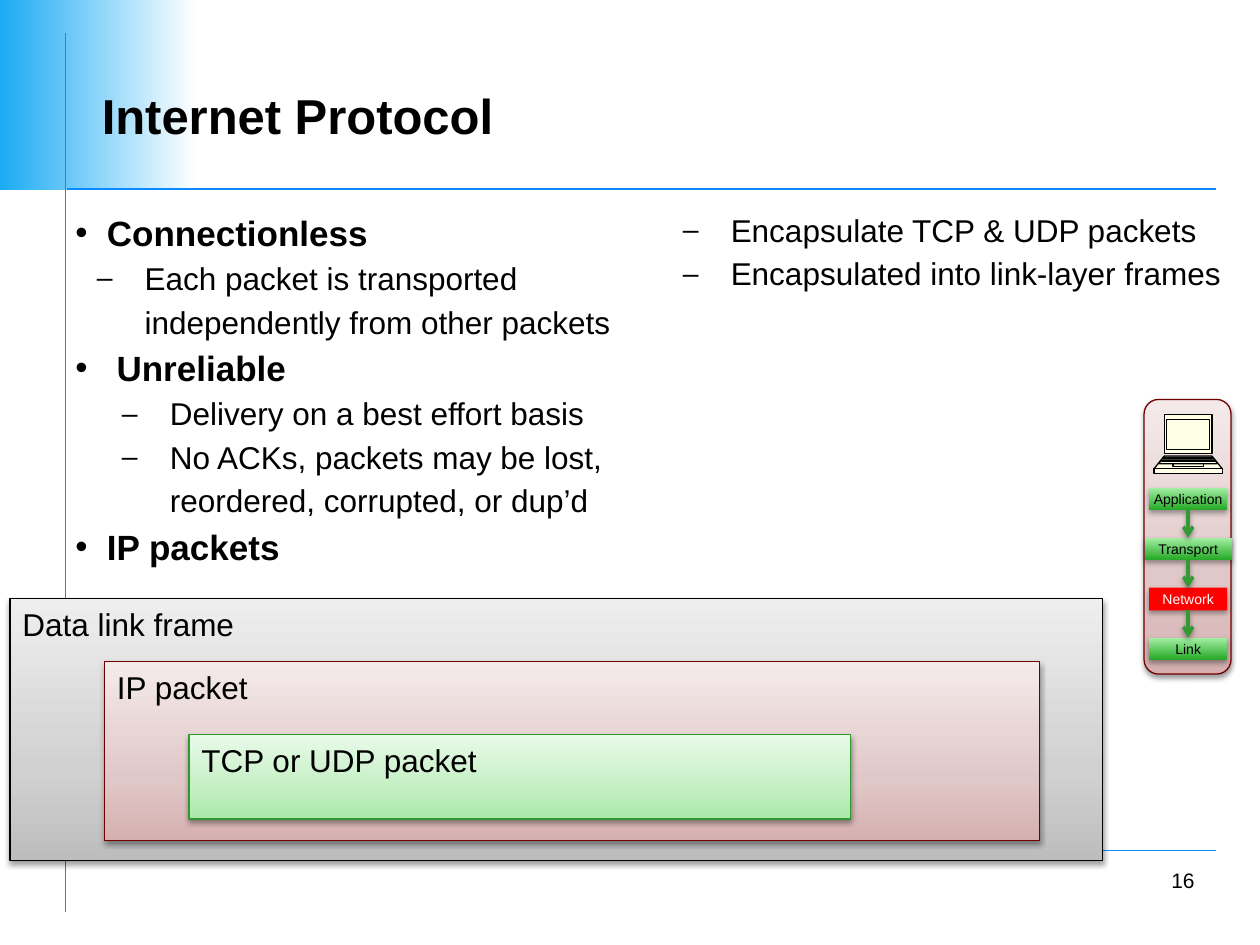
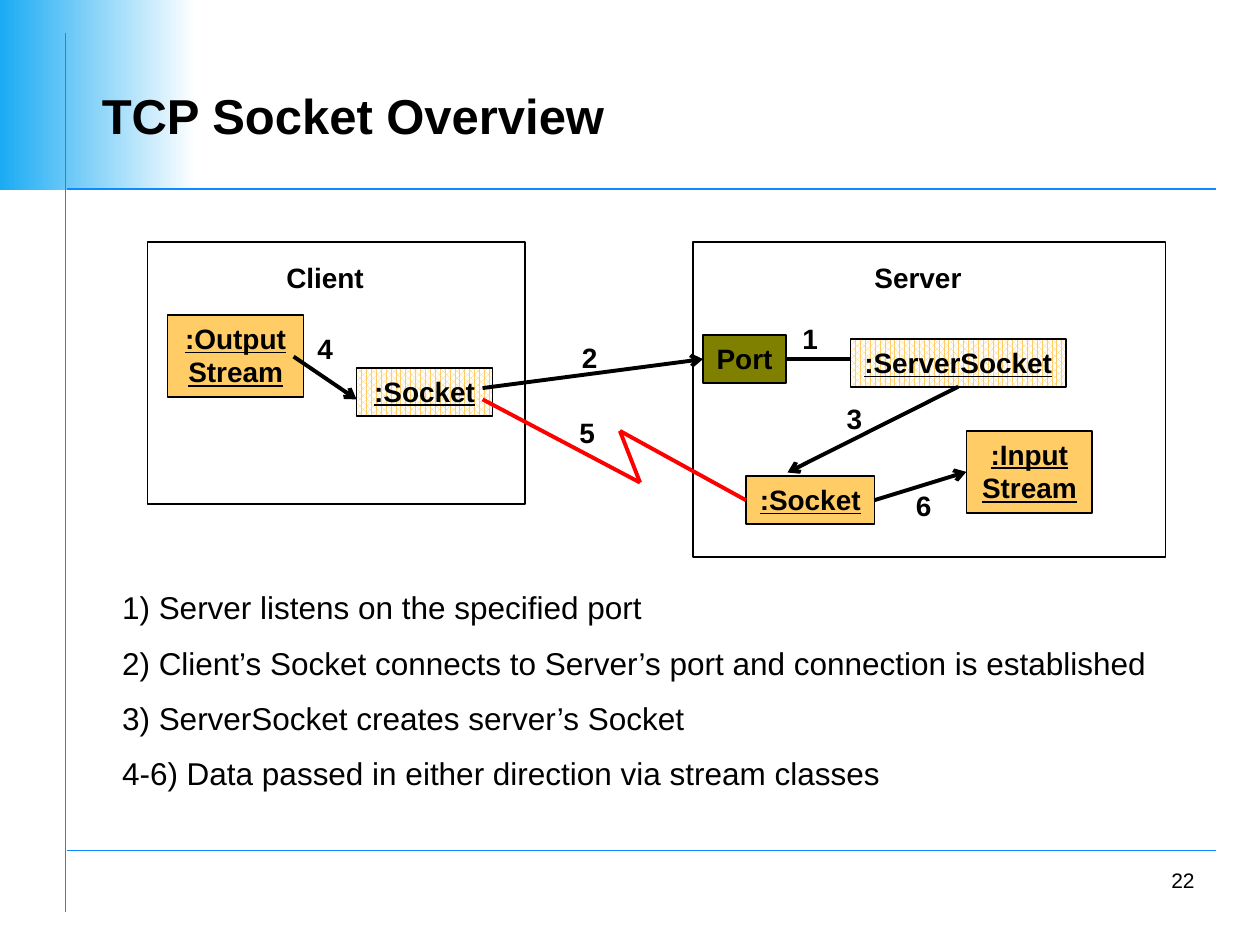
from dataclasses import dataclass
from typing import NamedTuple, Optional

from lxml import etree
from pptx import Presentation
from pptx.dml.color import RGBColor
from pptx.enum.dml import MSO_PATTERN
from pptx.enum.shapes import MSO_CONNECTOR, MSO_SHAPE
from pptx.enum.text import MSO_ANCHOR, PP_ALIGN
from pptx.oxml.ns import qn
from pptx.util import Inches, Pt

RECT, ROUND_RECT = MSO_SHAPE.RECTANGLE, MSO_SHAPE.ROUNDED_RECTANGLE
STRAIGHT = MSO_CONNECTOR.STRAIGHT
TOP, MIDDLE = MSO_ANCHOR.TOP, MSO_ANCHOR.MIDDLE
LEFT, CENTER, RIGHT = PP_ALIGN.LEFT, PP_ALIGN.CENTER, PP_ALIGN.RIGHT
DOTTED = MSO_PATTERN.PERCENT_75
SIDE_TOP, SIDE_LEFT, SIDE_BOTTOM, SIDE_RIGHT = range(4)

FONT = "Arial"
BLACK, WHITE, RED = "000000", "FFFFFF", "FF0000"
RULE_BLUE, ARROW_GREEN = "0B8BFF", "339933"
ORANGE, OLIVE, CREAM = "FFCC66", "808000", "FFFFE5"
MAROON, LEAF = "700000", "2F982F"


class Gradient(NamedTuple):
    """Colour stops as (percent, colour), with a clockwise angle."""
    stops: tuple
    angle: int = 270


class Pattern(NamedTuple):
    """A dotted fill of two colours."""
    front: str
    back: str


class Style(NamedTuple):
    """How a piece of text looks."""
    size: float
    color: str = BLACK
    bold: bool = False
    underline: bool = False
    align: PP_ALIGN = LEFT
    anchor: MSO_ANCHOR = TOP
    wrap: bool = True
    side_inset: float = 0.1


class Item(NamedTuple):
    """A body paragraph."""
    text: str
    size: float
    margin: float
    hanging: float
    bullet: str = ""
    bold: bool = False


@dataclass
class Box:
    """A preset shape with optional text; lengths in inches."""
    left: float
    top: float
    width: float
    height: float
    text: str = ""
    style: Style = Style(18)
    fill: object = None
    line: Optional[str] = None
    line_width: float = 1
    kind: MSO_SHAPE = RECT
    shadow: int = 0


@dataclass
class Link:
    """A straight line; each joint is a (shape, side) pair."""
    start: tuple
    end: tuple
    color: str = BLACK
    width: float = 2.25
    arrow: bool = False
    begin_joint: Optional[tuple] = None
    end_joint: Optional[tuple] = None
    shadow: int = 0


BAND = Gradient(((0, "1BABF3"), (100, WHITE)), 0)
GRAY = Gradient(((0, "BDBDBD"), (35, "D1D1D1"), (100, "EEEEEE")))
ROSE = Gradient(((0, "D6B0B0"), (35, "E1C8C8"), (100, "F4EAEA")))
MINT = Gradient(((0, "A9E9A9"), (35, "C4EFC4"), (100, "E8FAE8")))
GREEN = Gradient(((0, "24A824"), (100, "A4EFA4")))
DOTS = Pattern(ORANGE, WHITE)

TITLE = Style(28, bold=True, anchor=MIDDLE)
NUMBER = Style(12, align=RIGHT, anchor=MIDDLE, wrap=False)
LAYER = Style(8, align=CENTER, anchor=MIDDLE, wrap=False, side_inset=0)
LABEL = Style(16, bold=True, align=CENTER, wrap=False)
OBJECT = LABEL._replace(underline=True)

PROTOCOL_ITEMS = (
    Item("Connectionless", 20, 0.25, -0.25, "•", True),
    Item("Each packet is transported independently from other packets", 18, 0.55, -0.38, "–"),
    Item(" Unreliable", 20, 0.25, -0.25, "•", True),
    Item("Delivery on a best effort basis", 18, 0.75, -0.38, "–"),
    Item("No ACKs, packets may be lost, reordered, corrupted, or dup’d", 18, 0.75, -0.38, "–"),
    Item("IP packets", 20, 0.25, -0.25, "•", True),
    Item("Encapsulate TCP & UDP packets", 18, 0.55, -0.38, "–"),
    Item("Encapsulated into link-layer frames", 18, 0.55, -0.38, "–"),
)
SOCKET_STEPS = tuple(Item(text, 18, 0.75, -0.38) for text in (
    "1) Server listens on the specified port",
    "2) Client’s Socket connects to Server’s port and connection is established",
    "3) ServerSocket creates server’s Socket",
    "4-6) Data passed in either direction via stream classes",
))
STACK_CENTER = 9.43
LAPTOP = (
    (3.29, 0.19, 3.60, 0.19), (3.62, 0.19, 3.72, 0.27),
    (3.72, 0.27, 3.76, 0.27), (3.33, 0.17, 3.57, 0.17),
    (3.63, 0.19, 3.64, 0.20), (3.68, 0.12, 3.70, 0.12),
    (3.65, 0.20, 3.66, 0.21), (3.66, 0.22, 3.68, 0.23),
)


def rgb(color: str) -> RGBColor:
    """Turn a hex string into a colour."""
    return RGBColor.from_string(color)


def add_color(parent, color: str):
    """Append an sRGB colour element."""
    return etree.SubElement(parent, qn("a:srgbClr"), val=color)


def paint(shape, fill) -> None:
    """Fill a shape with nothing, a colour, a pattern or a gradient."""
    if fill is None:
        shape.fill.background()
    elif isinstance(fill, Pattern):
        shape.fill.patterned()
        shape.fill.pattern = DOTTED
        shape.fill.fore_color.rgb = rgb(fill.front)
        shape.fill.back_color.rgb = rgb(fill.back)
    elif isinstance(fill, Gradient):
        shape.fill.gradient()
        shape.fill.gradient_angle = -fill.angle % 360
        stops = shape._element.spPr.find(qn("a:gradFill")).find(qn("a:gsLst"))
        for stop in list(stops):
            stops.remove(stop)
        for percent, color in fill.stops:
            add_color(etree.SubElement(stops, qn("a:gs"), pos=str(percent * 1000)), color)
    else:
        shape.fill.solid()
        shape.fill.fore_color.rgb = rgb(fill)


def outline(shape, color: Optional[str], width: float) -> None:
    """Set or remove the outline."""
    if color:
        shape.line.color.rgb = rgb(color)
        shape.line.width = Pt(width)
    else:
        shape.line.fill.background()


def add_shadow(effects, opacity: int) -> None:
    """Put a soft downward shadow into an effect list."""
    if opacity:
        shadow = etree.SubElement(effects, qn("a:outerShdw"), blurRad=str(Pt(3.1)),
                                  dist=str(Pt(1.7)), dir="5400000", rotWithShape="0")
        etree.SubElement(add_color(shadow, BLACK), qn("a:alpha"), val=str(opacity * 1000))


def add_span(para, text: str, style: Style) -> None:
    """Add one run of text."""
    span = para.add_run()
    span.text = text
    span.font.name, span.font.size = FONT, Pt(style.size)
    span.font.bold, span.font.underline = style.bold, style.underline
    span.font.color.rgb = rgb(style.color)


def write(frame, text: str, style: Style) -> None:
    """Write one paragraph per line of text."""
    frame.word_wrap, frame.vertical_anchor = style.wrap, style.anchor
    frame.margin_left = frame.margin_right = Inches(style.side_inset)
    for index, line in enumerate(text.split("\n")):
        para = frame.add_paragraph() if index else frame.paragraphs[0]
        para.alignment = style.align
        add_span(para, line, style)


def place(box: Box) -> tuple:
    """Give the position and size of a box."""
    return tuple(Inches(length) for length in (box.left, box.top, box.width, box.height))


def draw_box(page, box: Box):
    """Draw a shape and its text."""
    shape = page.shapes.add_shape(box.kind, *place(box))
    paint(shape, box.fill)
    outline(shape, box.line, box.line_width)
    shape.shadow.inherit = False
    add_shadow(shape._element.spPr.find(qn("a:effectLst")), box.shadow)
    if box.text:
        write(shape.text_frame, box.text, box.style)
    return shape


def draw_text(page, box: Box) -> None:
    """Draw a plain text box."""
    write(page.shapes.add_textbox(*place(box)).text_frame, box.text, box.style)


def draw_link(page, link: Link) -> None:
    """Draw a line or arrow and join its ends."""
    points = (Inches(length) for length in link.start + link.end)
    connector = page.shapes.add_connector(STRAIGHT, *points)
    if link.begin_joint:
        connector.begin_connect(*link.begin_joint)
    if link.end_joint:
        connector.end_connect(*link.end_joint)
    outline(connector, link.color, link.width)
    if link.arrow:
        etree.SubElement(connector.line._get_or_add_ln(), qn("a:tailEnd"), type="arrow")
    add_shadow(etree.SubElement(connector._element.spPr, qn("a:effectLst")), link.shadow)


def draw_body(page, box: Box, items: tuple, spacing: float, before: float = 0,
              after: float = 0, columns: int = 1) -> None:
    """Draw body paragraphs with hanging indents."""
    frame = page.shapes.add_textbox(*place(box)).text_frame
    frame.word_wrap = True
    if columns > 1:
        frame._txBody.bodyPr.set("numCol", str(columns))
        frame._txBody.bodyPr.set("spcCol", "0")
    for index, item in enumerate(items):
        para = frame.add_paragraph() if index else frame.paragraphs[0]
        para.line_spacing = spacing
        para.space_before, para.space_after = Pt(before), Pt(after)
        props = para._p.get_or_add_pPr()
        props.set("marL", str(Inches(item.margin)))
        props.set("indent", str(Inches(item.hanging)))
        if item.bullet:
            add_color(etree.SubElement(props, qn("a:buClr")), BLACK)
            size = 100000 if item.bold else 90000
            etree.SubElement(props, qn("a:buSzPct"), val=str(size))
            etree.SubElement(props, qn("a:buFont"), typeface=FONT)
            etree.SubElement(props, qn("a:buChar"), char=item.bullet)
        else:
            etree.SubElement(props, qn("a:buNone"))
        add_span(para, item.text, Style(item.size, bold=item.bold))


def add_page(deck, title: str, number: int):
    """Add a slide with the shared band, rules, title and number."""
    page = deck.slides.add_slide(deck.slide_layouts[6])
    draw_box(page, Box(0, 0, 1.56, 1.51, fill=BAND))
    for start, end in (((0.53, 6.75), (9.65, 6.75)), ((0.52, 0.26), (0.52, 7.24)),
                       ((0.53, 1.5), (9.65, 1.5))):
        draw_link(page, Link(start, end, RULE_BLUE, 1))
    draw_text(page, Box(7.5, 6.83, 2.08, 0.31, str(number), NUMBER))
    draw_text(page, Box(0.71, 0.58, 8.87, 0.67, title, TITLE))
    return page


def draw_laptop(page) -> None:
    """Draw the laptop from outlines symmetric about the stack."""
    for top, half_top, bottom, half_bottom in LAPTOP:
        corners = [(Inches(STACK_CENTER + offset), Inches(height)) for offset, height in (
            (-half_top, top), (half_top, top), (half_bottom, bottom), (-half_bottom, bottom))]
        builder = page.shapes.build_freeform(*corners[0], scale=1.0)
        builder.add_line_segments(corners[1:], close=True)
        shape = builder.convert_to_shape()
        paint(shape, CREAM)
        outline(shape, BLACK, 0.75)
        shape.shadow.inherit = False


def draw_stack(page) -> None:
    """Draw the protocol stack with the network layer marked."""
    draw_box(page, Box(9.08, 3.17, 0.69, 2.18, fill=ROSE, line=MAROON, line_width=0.75,
                       kind=ROUND_RECT, shadow=38))
    draw_laptop(page)
    layers = []
    for index, name in enumerate(("Application", "Transport", "Network", "Link")):
        width = 0.69 if name == "Transport" else 0.62
        marked = name == "Network"
        layers.append(draw_box(page, Box(
            STACK_CENTER - width / 2, 3.87 + index * 0.397, width, 0.18, name,
            LAYER._replace(color=WHITE if marked else BLACK),
            RED if marked else GREEN, shadow=35)))
    for upper, lower in zip(layers, layers[1:]):
        draw_link(page, Link((0, 0), (0, 0), ARROW_GREEN, 2, True,
                             (upper, SIDE_BOTTOM), (lower, SIDE_TOP), 38))


def build_protocol(deck) -> None:
    """Build the Internet Protocol slide."""
    page = add_page(deck, "Internet Protocol", 16)
    draw_body(page, Box(0.5, 1.58, 9.5, 3.08), PROTOCOL_ITEMS, 1.15, columns=2)
    for left, top, width, height, text, fill, line in (
            (0.08, 4.75, 8.67, 2.08, "Data link frame", GRAY, BLACK),
            (0.83, 5.25, 7.42, 1.42, "IP packet", ROSE, MAROON),
            (1.5, 5.83, 5.25, 0.67, "TCP or UDP packet", MINT, LEAF)):
        draw_box(page, Box(left, top, width, height, text, Style(18), fill, line, 0.75, shadow=38))
    draw_stack(page)


def build_sockets(deck) -> None:
    """Build the socket overview slide."""
    page = add_page(deck, "TCP Socket Overview", 22)
    draw_body(page, Box(0.5, 4.62, 8.88, 1.96), SOCKET_STEPS, 1, 2, 8)
    for left, width, height in ((1.17, 3, 2.08), (5.5, 3.75, 2.5)):
        draw_box(page, Box(left, 1.92, width, height, line=BLACK))
    output, client, listener, server, reader, port = (
        draw_box(page, Box(*area, text, style, fill, BLACK)) for area, text, style, fill in (
            ((1.33, 2.5, 1.08, 0.65), ":Output\nStream", OBJECT, ORANGE),
            ((2.83, 2.92, 1.08, 0.38), ":Socket", OBJECT, DOTS),
            ((6.75, 2.69, 1.71, 0.38), ":ServerSocket", OBJECT, DOTS),
            ((5.92, 3.78, 1.02, 0.38), ":Socket", OBJECT, ORANGE),
            ((7.67, 3.42, 1, 0.65), ":Input\nStream", OBJECT, ORANGE),
            ((5.58, 2.66, 0.66, 0.38), "Port", LABEL, OLIVE)))
    for link in (
            Link((6.75, 2.85), (6.24, 2.85), end_joint=(port, SIDE_RIGHT)),
            Link((3.83, 3.08), (5.58, 2.85), arrow=True, end_joint=(port, SIDE_LEFT)),
            Link((7.6, 3.07), (6.25, 3.75), arrow=True, begin_joint=(listener, SIDE_BOTTOM)),
            Link((2.33, 2.83), (2.83, 3.17), arrow=True),
            Link((3.83, 3.17), (5.08, 3.83), RED),
            Link((5.08, 3.83), (4.92, 3.42), RED),
            Link((4.92, 3.42), (5.92, 3.97), RED, end_joint=(server, SIDE_LEFT)),
            Link((6.94, 3.97), (7.67, 3.75), arrow=True, begin_joint=(server, SIDE_RIGHT),
                 end_joint=(reader, SIDE_LEFT))):
        draw_link(page, link)
    for left, top, width, text in (
            (2.17, 2.02, 0.82, "Client"), (6.84, 2.02, 0.89, "Server"),
            (6.27, 2.5, 0.32, "1"), (4.52, 2.65, 0.32, "2"), (6.62, 3.14, 0.32, "3"),
            (2.42, 2.58, 0.32, "4"), (4.5, 3.25, 0.32, "5"), (7.17, 3.83, 0.32, "6")):
        draw_text(page, Box(left, top, width, 0.37, text, LABEL))


def main() -> None:
    """Build and save the deck."""
    deck = Presentation()
    deck.slide_width, deck.slide_height = Inches(10), Inches(7.5)
    build_protocol(deck)
    build_sockets(deck)
    deck.save("out.pptx")


if __name__ == "__main__":
    main()
